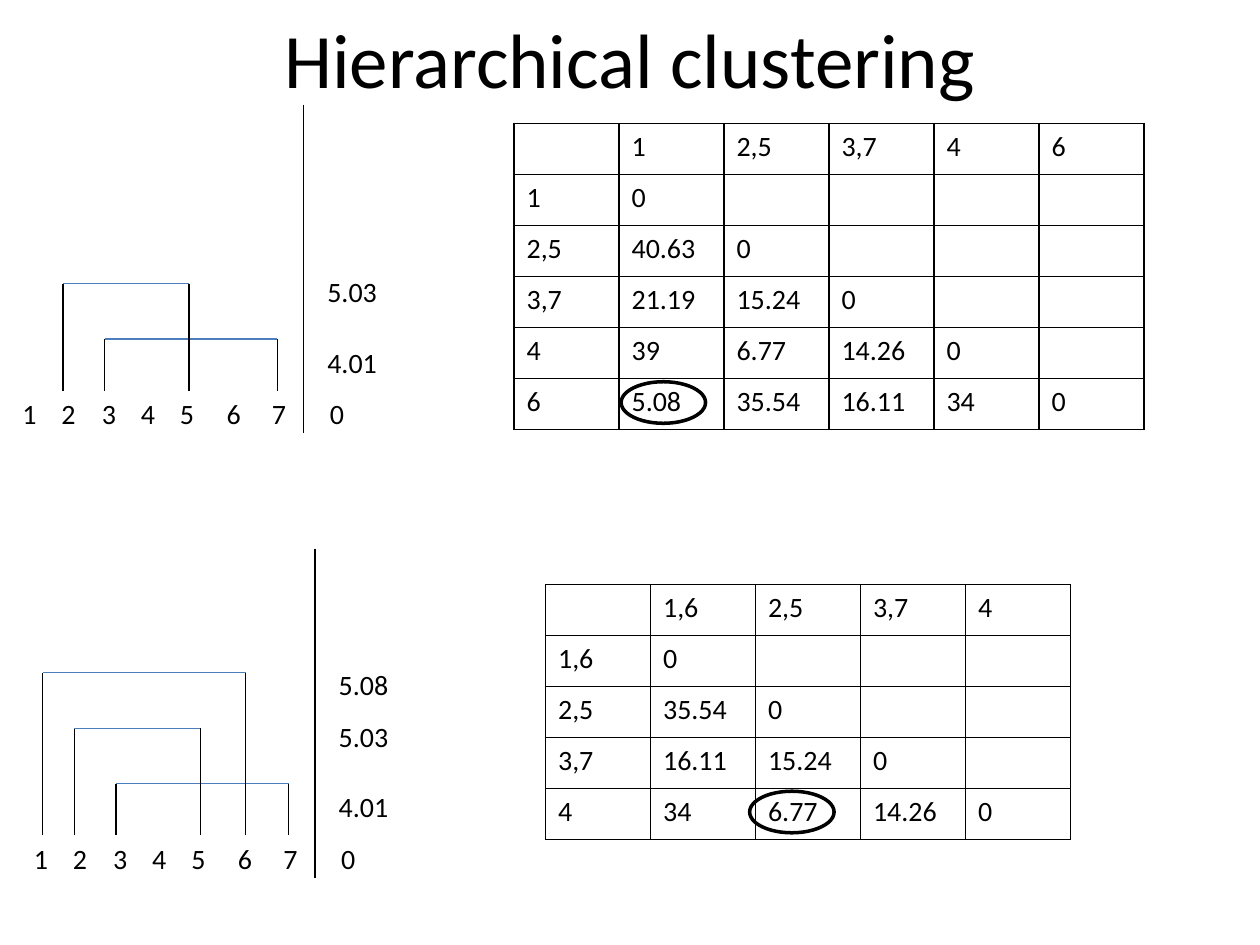
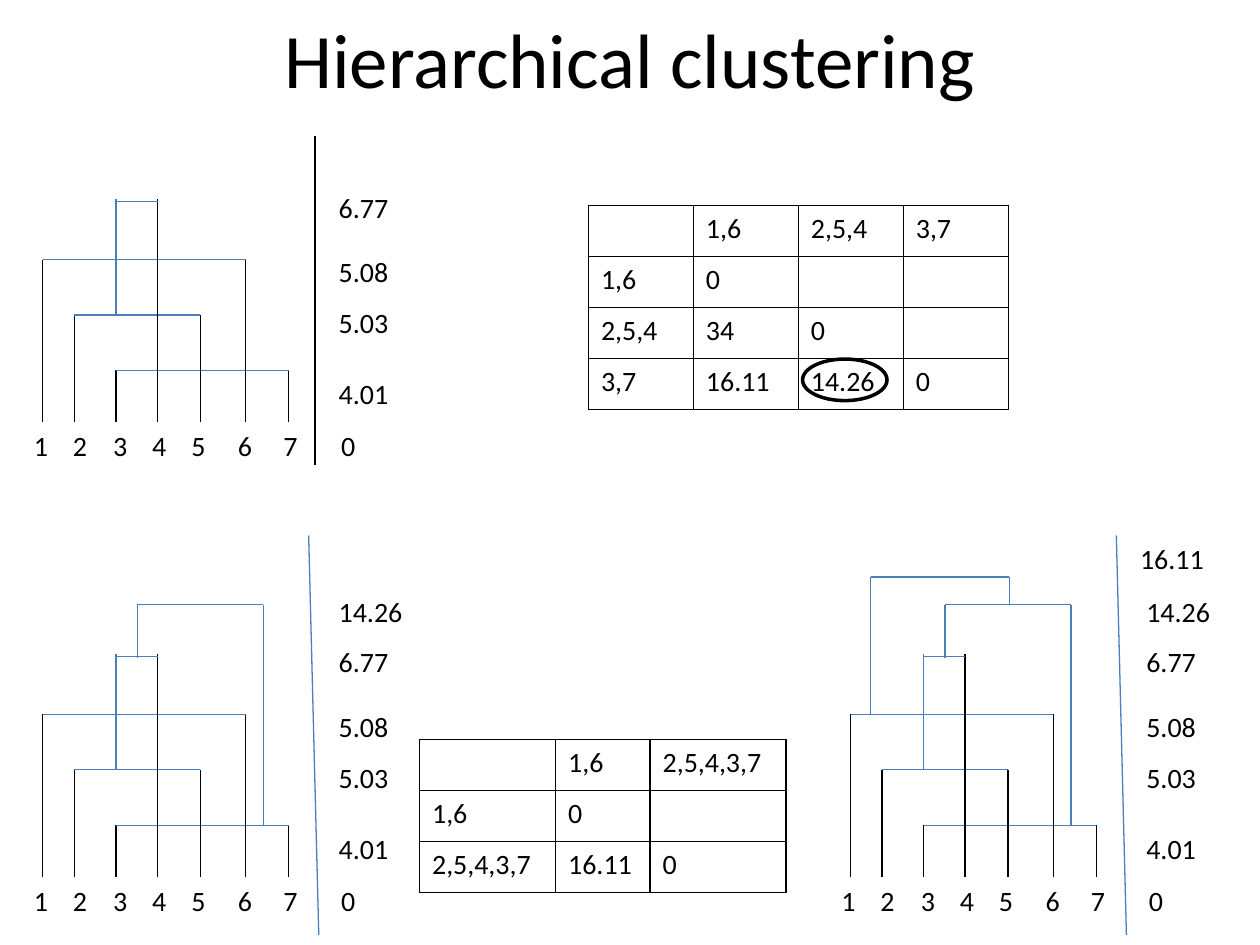
from lxml.etree import SubElement
from pptx import Presentation
from pptx.dml.color import RGBColor
from pptx.enum.shapes import MSO_CONNECTOR, MSO_SHAPE
from pptx.enum.text import MSO_ANCHOR, PP_ALIGN
from pptx.oxml.ns import qn
from pptx.util import Inches, Pt

COLORS = {"ink": "000000", "link": "4B7EBC"}
FONT = "Calibri"
TITLE = "Hierarchical clustering"
ROW_HEIGHT = 2.43 / 6
COLUMN = 5 / 6
LEAF_TABS = [0.31, 0.63, 0.94, 1.25, 1.62, 1.98, 2.44]

# Rises are measured upwards from the foot of the leaves.
MERGES = [
    {"label": "4.01", "label_rise": 0.41, "bar": 0.41, "legs": [(0.75, 0), (2.12, 0)]},
    {"label": "5.03", "label_rise": 0.97, "bar": 0.85, "legs": [(0.42, 0), (1.42, 0)]},
    {"label": "5.08", "label_rise": 1.38, "bar": 1.29, "legs": [(0.17, 0), (1.78, 0)]},
    {"label": "6.77", "label_rise": 1.89, "bar": 1.75, "legs": [(0.75, 0.85), (1.08, 0)], "overshoot": 0.02},
    {"label": "14.26", "label_rise": 2.29, "bar": 2.16, "legs": [(0.92, 1.74), (1.92, 0.41)]},
    {"label": "16.11", "label_rise": 2.71, "bar": 2.38, "legs": [(0.33, 1.29), (1.43, 2.16)], "label_left": 2.37},
]
UPRIGHT = {"start": (2.33, 2.27), "end": (2.33, -0.34), "color": "ink"}
SLANTED = {"start": (2.28, 2.71), "end": (2.36, -0.46), "color": "link"}

SLIDES = [
    {
        "trees": [(0.08, 3.1, 2, UPRIGHT), (0.17, 6.63, 3, UPRIGHT)],
        "tables": [
            {
                "at": (4.08, 0.98),
                "widths": [COLUMN] * 6,
                "clusters": ["1", "2,5", "3,7", "4", "6"],
                "distances": [
                    ["0"],
                    ["40.63", "0"],
                    ["21.19", "15.24", "0"],
                    ["39", "6.77", "14.26", "0"],
                    ["5.08", "35.54", "16.11", "34", "0"],
                ],
            },
            {
                "at": (4.33, 4.64),
                "widths": [COLUMN] * 5,
                "clusters": ["1,6", "2,5", "3,7", "4"],
                "distances": [
                    ["0"],
                    ["35.54", "0"],
                    ["16.11", "15.24", "0"],
                    ["34", "6.77", "14.26", "0"],
                ],
            },
        ],
        "circles": [(4.93, 3.03), (5.95, 6.28)],
    },
    {
        "trees": [
            (0.17, 3.35, 4, UPRIGHT),
            (0.17, 6.96, 5, SLANTED),
            (6.58, 6.96, 6, SLANTED),
        ],
        "tables": [
            {
                "at": (4.67, 1.63),
                "widths": [COLUMN] * 4,
                "clusters": ["1,6", "2,5,4", "3,7"],
                "distances": [["0"], ["34", "0"], ["16.11", "14.26", "0"]],
            },
            {
                "at": (3.33, 5.87),
                "widths": [1.08, 0.75, 1.08],
                "clusters": ["1,6", "2,5,4,3,7"],
                "distances": [["0"], ["16.11", "0"]],
            },
        ],
        "circles": [(6.37, 2.85)],
    },
]


def write_text(frame, text, size=16, align=PP_ALIGN.LEFT, anchor=MSO_ANCHOR.TOP, tabs=()):
    frame.word_wrap = True
    frame.vertical_anchor = anchor
    para = frame.paragraphs[0]
    para.alignment = align
    if tabs:
        tab_list = SubElement(para._p.get_or_add_pPr(), qn("a:tabLst"))
        for position in tabs:
            SubElement(tab_list, qn("a:tab"), pos=str(Inches(position)), algn="l")
    para.font.size = Pt(size)
    span = para.add_run()
    span.text = text
    span.font.name = FONT
    span.font.size = Pt(size)
    span.font.color.rgb = RGBColor.from_string(COLORS["ink"])


def draw_line(shapes, start, end, color="ink"):
    points = [Inches(value) for value in (*start, *end)]
    line = shapes.add_connector(MSO_CONNECTOR.STRAIGHT, *points)
    line.line.width = Pt(0.75)
    line.line.color.rgb = RGBColor.from_string(COLORS[color])
    SubElement(line._element.spPr, qn("a:effectLst"))


deck = Presentation()
deck.slide_width = Inches(10)
deck.slide_height = Inches(7.5)

for content in SLIDES:
    page = deck.slides.add_slide(deck.slide_layouts[6])
    title = page.shapes.add_textbox(Inches(0.5), 0, Inches(9), Inches(0.92))
    write_text(title.text_frame, TITLE, size=44, align=PP_ALIGN.CENTER, anchor=MSO_ANCHOR.MIDDLE)

    for left, base, merge_count, axis in content["trees"]:
        tree = page.shapes.add_group_shape().shapes
        leaves = tree.add_textbox(Inches(left), Inches(base), Inches(2.9), Inches(0.37))
        write_text(leaves.text_frame, "\t".join("12345670"), tabs=LEAF_TABS)
        axis_ends = [(left + x, base - rise) for x, rise in (axis["start"], axis["end"])]
        draw_line(tree, *axis_ends, color=axis["color"])

        for merge in MERGES[:merge_count]:
            bar_y = base - merge["bar"]
            leg_top = bar_y - merge.get("overshoot", 0)
            for x, foot in merge["legs"]:
                color = "link" if foot else "ink"
                draw_line(tree, (left + x, leg_top), (left + x, base - foot), color)
            bar_ends = [(left + x, bar_y) for x, foot in merge["legs"]]
            draw_line(tree, *bar_ends, color="link")
            label = tree.add_textbox(
                Inches(left + merge.get("label_left", 2.42)),
                Inches(base - merge["label_rise"]),
                Inches(0.83),
                Inches(0.37),
            )
            write_text(label.text_frame, merge["label"])

    for matrix in content["tables"]:
        clusters = matrix["clusters"]
        widths = matrix["widths"]
        count = len(widths)
        left, top = matrix["at"]
        table = page.shapes.add_table(
            count, count, Inches(left), Inches(top), Inches(sum(widths)), Inches(ROW_HEIGHT * count)
        ).table
        table.first_row = False
        table.horz_banding = False
        for column, width in zip(table.columns, widths):
            column.width = Inches(width)

        rows = [["", *clusters]]
        for cluster, distances in zip(clusters, matrix["distances"]):
            rows.append([cluster, *distances])
        for row_index, values in enumerate(rows):
            for column_index in range(count):
                cell = table.cell(row_index, column_index)
                if column_index < len(values) and values[column_index]:
                    write_text(cell.text_frame, values[column_index])
                properties = cell._tc.get_or_add_tcPr()
                for side in ("lnL", "lnR", "lnT", "lnB"):
                    border = SubElement(properties, qn(f"a:{side}"), w=str(Pt(1)))
                    fill = SubElement(border, qn("a:solidFill"))
                    SubElement(fill, qn("a:srgbClr"), val=COLORS["ink"])
                cell.fill.background()

    for left, top in content["circles"]:
        circle = page.shapes.add_shape(
            MSO_SHAPE.OVAL, Inches(left), Inches(top), Inches(0.67), Inches(0.33)
        )
        circle.shadow.inherit = False
        circle.fill.background()
        circle.line.width = Pt(2)
        circle.line.color.rgb = RGBColor.from_string(COLORS["ink"])

deck.save("out.pptx")
